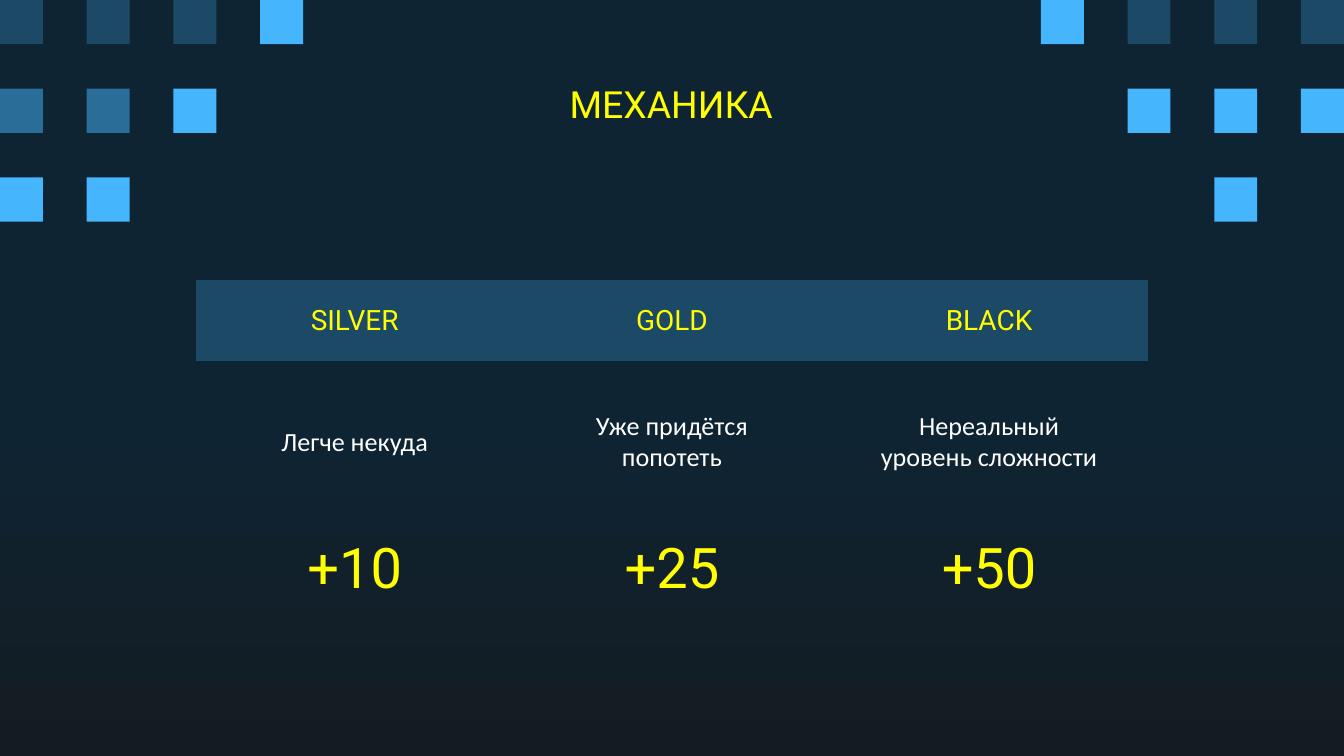
"""Build the slide that compares the three difficulty levels of the game."""
from dataclasses import dataclass

from pptx import Presentation
from pptx.dml.color import RGBColor
from pptx.enum import shapes, text
from pptx.util import Inches, Pt

NIGHT, DUSK = "0E2433", "141C21"
DEEP, MEDIUM, BRIGHT = "1C4966", "296D98", "45B6FE"
YELLOW, WHITE = "FFFF00", "FFFFFF"
NO_GRID_STYLE = "{2D5ABB26-0587-4C30-8999-92F81FD0307C}"
COLUMN_PITCH, ROW_PITCH = 9.68 / 15, 0.66


@dataclass(frozen=True)
class Square:
    column: int
    row: int
    color: str


@dataclass(frozen=True)
class TextStyle:
    font: str
    size: float
    color: str
    space_before: float = 0


@dataclass(frozen=True)
class TableRow:
    height: float
    texts: tuple[str, ...]
    style: TextStyle
    side_margin: float = 0.1
    fill: str | None = None


SQUARES = [
    Square(column, row, color)
    for row, color, columns in (
        (0, DEEP, (0, 1, 2, 13, 14, 15)),
        (0, BRIGHT, (3, 12)),
        (1, MEDIUM, (0, 1)),
        (1, BRIGHT, (2, 13, 14, 15)),
        (2, BRIGHT, (0, 1, 14)),
    )
    for column in columns
]

TABLE_ROWS = [
    TableRow(0.61, ("SILVER", "GOLD", "BLACK"),
             TextStyle("Roboto", 15, YELLOW, 6.5), fill=DEEP),
    TableRow(1.2, ("Легче некуда", "Уже придётся попотеть", "Нереальный уровень сложности"),
             TextStyle("Calibri", 14, WHITE), side_margin=0.3),
    TableRow(0.54, ("+10", "+25", "+50"), TextStyle("Roboto", 30, YELLOW)),
]


def rgb(color: str) -> RGBColor:
    return RGBColor.from_string(color)


def write(frame, content: str, style: TextStyle) -> None:
    frame.text = content
    para = frame.paragraphs[0]
    para.alignment = text.PP_ALIGN.CENTER
    para.space_before = Pt(style.space_before)
    for span in para.runs:
        span.font.name = style.font
        span.font.size = Pt(style.size)
        span.font.color.rgb = rgb(style.color)


def paint_background(page) -> None:
    fill = page.background.fill
    fill.gradient()
    fill.gradient_angle = 270
    for stop, position, color in zip(fill.gradient_stops, (0.56, 1), (NIGHT, DUSK)):
        stop.position = position
        stop.color.rgb = rgb(color)


def draw_square(page, square: Square) -> None:
    box = page.shapes.add_shape(
        shapes.MSO_SHAPE.RECTANGLE,
        Inches(square.column * COLUMN_PITCH), Inches(square.row * ROW_PITCH),
        Inches(0.32), Inches(0.33))
    box.shadow.inherit = False
    box.fill.solid()
    box.fill.fore_color.rgb = rgb(square.color)
    box.line.fill.background()


def draw_title(page, content: str) -> None:
    title = page.shapes.title
    title.left, title.top = Inches(0.78), Inches(0.59)
    title.width, title.height = Inches(8.43), Inches(0.36)
    frame = title.text_frame
    frame.auto_size = text.MSO_AUTO_SIZE.NONE
    frame.vertical_anchor = text.MSO_ANCHOR.MIDDLE
    frame.margin_left = frame.margin_right = Inches(0.1)
    frame.margin_top = frame.margin_bottom = Inches(0.1)
    write(frame, content, TextStyle("Roboto", 20, YELLOW))


def draw_table(page, rows: list[TableRow]) -> None:
    columns = len(rows[0].texts)
    holder = page.shapes.add_table(
        len(rows), columns, Inches(1.46), Inches(2.08),
        Inches(2.36 * columns), Inches(sum(row.height for row in rows)))
    table = holder.table
    table.first_row = table.horz_banding = False
    table._tbl.tblPr.find("{*}tableStyleId").text = NO_GRID_STYLE
    for row, line in zip(rows, table.rows):
        line.height = Inches(row.height)
        for content, cell in zip(row.texts, line.cells):
            write(cell.text_frame, content, row.style)
            cell.vertical_anchor = text.MSO_ANCHOR.MIDDLE
            cell.margin_left = cell.margin_right = Inches(row.side_margin)
            cell.margin_top = cell.margin_bottom = Inches(0.1)
            if row.fill:
                cell.fill.solid()
                cell.fill.fore_color.rgb = rgb(row.fill)
            else:
                cell.fill.background()


def main() -> None:
    deck = Presentation()
    deck.slide_width = Inches(10)
    deck.slide_height = Inches(10 * 9 / 16)
    page = deck.slides.add_slide(deck.slide_layouts[5])
    paint_background(page)
    for square in SQUARES:
        draw_square(page, square)
    draw_title(page, "МЕХАНИКА")
    draw_table(page, TABLE_ROWS)
    deck.save("out.pptx")


if __name__ == "__main__":
    main()
